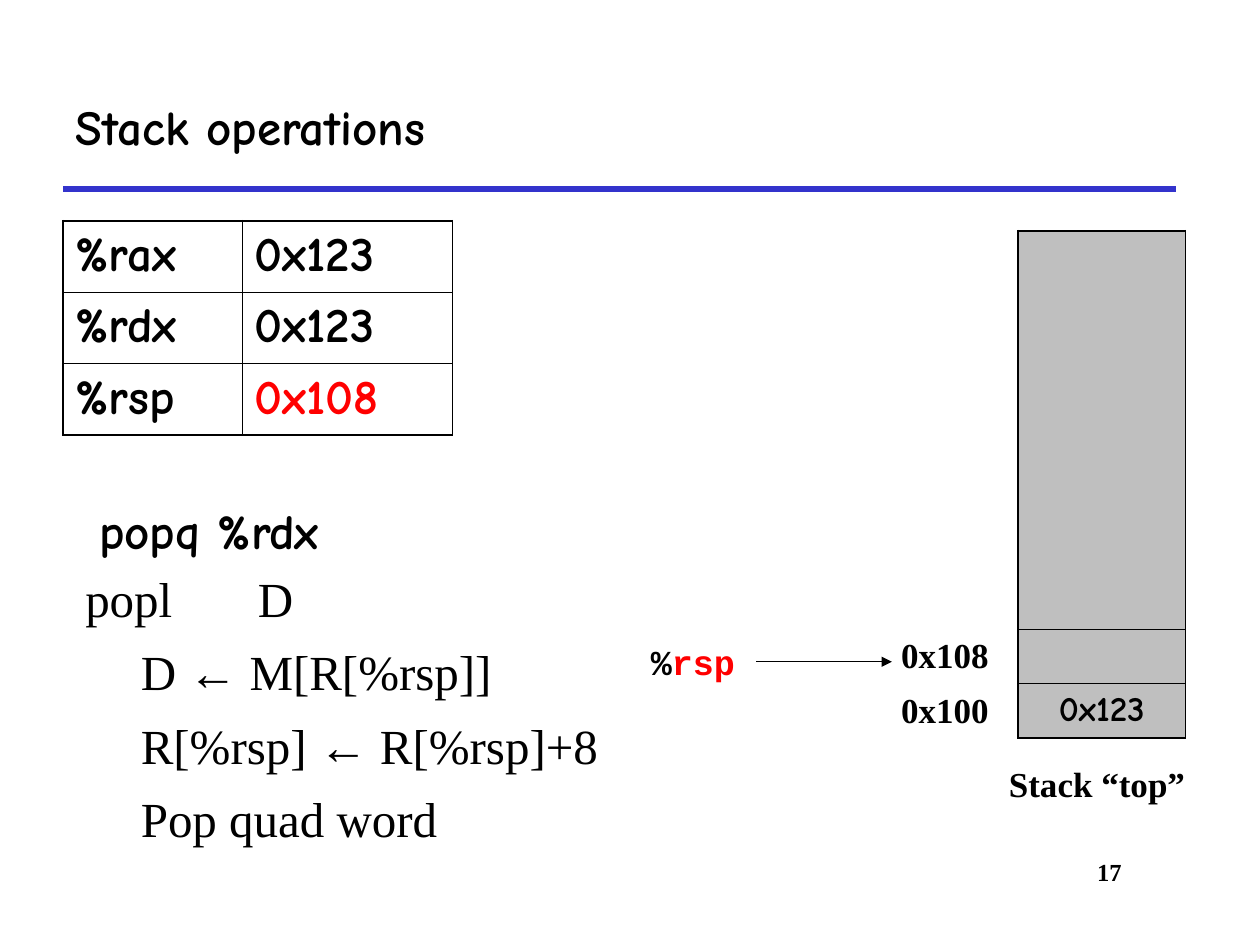
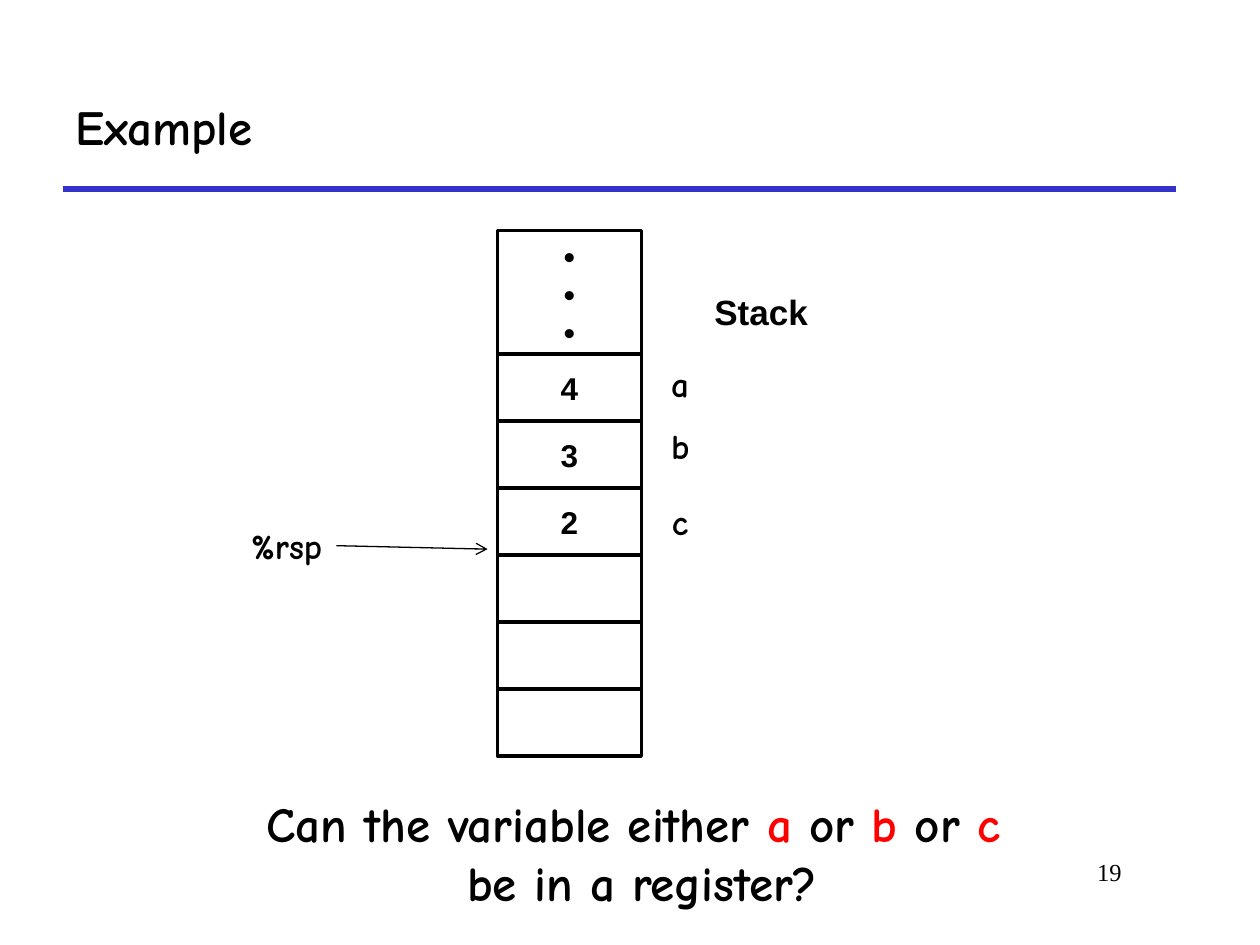
import dataclasses

import lxml.etree
import pptx
import pptx.dml.color
import pptx.enum.shapes
import pptx.enum.text
import pptx.oxml.ns
import pptx.util

Cm = pptx.util.Cm
Pt = pptx.util.Pt
Align = pptx.enum.text.PP_ALIGN
Anchor = pptx.enum.text.MSO_ANCHOR
qn = pptx.oxml.ns.qn

COLORS = {
    "ink": "000000",
    "paper": "FFFFFF",
    "rule": "3333CC",
    "accent": "FF0000",
    "memory": "BFBFBF",
}
OUTER_BORDER = 1.08
INNER_BORDER = 0.45


@dataclasses.dataclass(frozen=True)
class TextStyle:
    font: str
    size: int
    bold: bool = True
    color: str = "ink"

    def accent(self):
        return dataclasses.replace(self, color="accent")


HEADING = TextStyle("Comic Neue", 28)
LABEL = TextStyle("Comic Neue", 20)
ADDRESS = TextStyle("Times New Roman", 20)
BODY = TextStyle("Times New Roman", 28, False)
ARROW_SIGN = TextStyle("Arial", 28, False)
CODE = TextStyle("Courier New", 20)
STACK_NAME = TextStyle("Arial", 20)
STACK_VALUE = TextStyle("Arial", 18)


def rgb(name):
    return pptx.dml.color.RGBColor.from_string(COLORS[name])


def add_runs(paragraph, runs):
    for text, style in runs:
        run = paragraph.add_run()
        run.text = text
        run.font.name = style.font
        run.font.size = Pt(style.size)
        run.font.bold = style.bold
        run.font.color.rgb = rgb(style.color)


def fill_text(frame, lines, alignment):
    for index, runs in enumerate(lines):
        paragraph = frame.add_paragraph() if index else frame.paragraphs[0]
        paragraph.alignment = alignment
        add_runs(paragraph, runs)


def add_text(slide, left, top, width, height, lines, alignment=Align.CENTER):
    box = slide.shapes.add_textbox(Cm(left), Cm(top), Cm(width), Cm(height))
    box.text_frame.word_wrap = alignment != Align.CENTER
    fill_text(box.text_frame, lines, alignment)
    return box


def add_line(slide, start, end, color="ink", weight=0.75, head=None):
    points = [Cm(value) for value in (*start, *end)]
    line = slide.shapes.add_connector(
        pptx.enum.shapes.MSO_CONNECTOR.STRAIGHT, *points
    )
    line.line.color.rgb = rgb(color)
    line.line.width = Pt(weight)
    if head:
        outline = line.line._get_or_add_ln()
        lxml.etree.SubElement(outline, qn("a:tailEnd"), type=head)
    lxml.etree.SubElement(line._element.spPr, qn("a:effectLst"))
    return line


def add_stack_cell(slide, left, top, width, height, lines):
    cell = slide.shapes.add_shape(
        pptx.enum.shapes.MSO_SHAPE.RECTANGLE,
        Cm(left), Cm(top), Cm(width), Cm(height),
    )
    cell.shadow.inherit = False
    cell.fill.solid()
    cell.fill.fore_color.rgb = rgb("paper")
    cell.line.color.rgb = rgb("ink")
    cell.line.width = Pt(2)
    cell.text_frame.word_wrap = False
    cell.text_frame.vertical_anchor = Anchor.MIDDLE
    fill_text(cell.text_frame, lines, Align.CENTER)


def set_borders(cell, weights):
    properties = cell._tc.get_or_add_tcPr()
    for index, (side, weight) in enumerate(weights.items()):
        border = lxml.etree.Element(qn(f"a:ln{side}"), w=str(Pt(weight)))
        fill = lxml.etree.SubElement(border, qn("a:solidFill"))
        lxml.etree.SubElement(fill, qn("a:srgbClr"), val=COLORS["ink"])
        properties.insert(index, border)


def add_grid(slide, left, top, widths, heights, rows, alignment, fill=None):
    frame = slide.shapes.add_table(
        len(heights), len(widths),
        Cm(left), Cm(top), Cm(sum(widths)), Cm(sum(heights)),
    )
    table = frame.table
    table.first_row = False
    table.horz_banding = False
    for column, width in zip(table.columns, widths):
        column.width = Cm(width)
    for row, height in zip(table.rows, heights):
        row.height = Cm(height)

    def weight(is_edge):
        return OUTER_BORDER if is_edge else INNER_BORDER

    for y, row in enumerate(rows):
        for x, runs in enumerate(row):
            cell = table.cell(y, x)
            if fill:
                cell.fill.solid()
                cell.fill.fore_color.rgb = rgb(fill)
            else:
                cell.fill.background()
            fill_text(cell.text_frame, [runs], alignment)
            set_borders(cell, {
                "L": weight(x == 0),
                "R": weight(x == len(widths) - 1),
                "T": weight(y == 0),
                "B": weight(y == len(heights) - 1),
            })


def add_slide(presentation, title, number, number_bold):
    slide = presentation.slides.add_slide(presentation.slide_layouts[5])
    add_line(slide, (1.27, 3.81), (23.7, 3.81), "rule", 3)
    shape = slide.shapes.title
    shape.left, shape.top = Cm(1.27), Cm(1.27)
    shape.width, shape.height = Cm(22.43), Cm(2.54)
    shape.text_frame.vertical_anchor = Anchor.MIDDLE
    fill_text(shape.text_frame, [[(title, HEADING)]], Align.LEFT)
    style = TextStyle("Times New Roman", 14, number_bold)
    add_text(slide, 19.25, 17.15, 3.61, 1.27, [[(number, style)]], Align.RIGHT)
    return slide


def add_pop_meaning(slide):
    lines = [
        [("popl\tD", BODY)],
        [("D ", BODY), ("←", ARROW_SIGN), (" M[R[%rsp]]", BODY)],
        [("R[%rsp] ", BODY), ("←", ARROW_SIGN), (" R[%rsp]+8", BODY)],
        [("Pop quad word", BODY)],
    ]
    box = add_text(slide, 1.47, 11.33, 11.63, 5.9, lines, Align.LEFT)
    instruction, *effects = box.text_frame.paragraphs
    tabs = lxml.etree.SubElement(
        instruction._p.get_or_add_pPr(), qn("a:tabLst")
    )
    lxml.etree.SubElement(tabs, qn("a:tab"), pos=str(Cm(3.48)), algn="l")
    for paragraph in effects:
        paragraph.space_before = Pt(8.4)
        paragraph._p.get_or_add_pPr().set("marL", str(Cm(1.12)))


def build_operations(presentation):
    slide = add_slide(presentation, "Stack operations", "17", True)
    registers = [
        [[("%rax", HEADING)], [("0x123", HEADING)]],
        [[("%rdx", HEADING)], [("0x123", HEADING)]],
        [[("%rsp", HEADING)], [("0x108", HEADING.accent())]],
    ]
    add_grid(slide, 1.27, 4.45, [3.61, 4.24], [1.44] * 3, registers, Align.LEFT)
    add_text(slide, 1.75, 9.96, 5.5, 1.45, [[("popq %rdx", HEADING)]], Align.LEFT)
    add_pop_meaning(slide)

    memory = [[[]], [[]], [[("0x123", LABEL)]]]
    add_grid(slide, 20.52, 4.65, [3.38], [8.03, 1.1, 1.1], memory,
             Align.CENTER, "memory")
    for index, address in enumerate(["0x108", "0x100"]):
        add_text(slide, 17.78, 12.65 + index * 1.1, 2.54, 1.12,
                 [[(address, ADDRESS)]])
    add_text(slide, 19.89, 15.24, 4.45, 1.12, [[("Stack “top”", ADDRESS)]])
    pointer = add_text(slide, 12.7, 12.78, 2.54, 1.12,
                       [[("%", CODE), ("rsp", CODE.accent())]])
    arrow = add_line(slide, (15.24, 13.34), (17.98, 13.34), head="triangle")
    arrow.begin_connect(pointer, 3)


def build_example(presentation):
    slide = add_slide(presentation, "Example", "19", False)
    left, width, cell_height = 10.03, 2.9, 1.35
    add_stack_cell(slide, left, 4.65, width, 2.54, [[("•", STACK_VALUE)]] * 3)
    for index, value in enumerate(["4", "3", "2", None, None, None]):
        lines = [[(value, STACK_VALUE)]] if value else []
        add_stack_cell(slide, left, 7.14 + index * cell_height,
                       width, cell_height, lines)
    add_text(slide, 14.15, 5.74, 2.39, 1.12, [[("Stack", STACK_NAME)]])
    for variable, top in [("a", 7.19), ("b", 8.43), ("c", 9.96)]:
        add_text(slide, 13.28, top, 0.86, 1.12, [[(variable, LABEL)]])

    pointer = add_text(slide, 4.78, 10.44, 2, 1.12, [[("%rsp", LABEL)]])
    arrow = add_line(slide, (6.78, 11), (9.83, 11.07), head="arrow")
    arrow.begin_connect(pointer, 3)

    question = [
        [
            ("Can the variable either ", HEADING),
            ("a ", HEADING.accent()),
            ("or ", HEADING),
            ("b ", HEADING.accent()),
            ("or ", HEADING),
            ("c ", HEADING.accent()),
        ],
        [("be in a register?", HEADING)],
    ]
    add_text(slide, 5.11, 15.88, 15.67, 2.64, question)


def main():
    presentation = pptx.Presentation()
    presentation.slide_width = Cm(25.4)
    presentation.slide_height = Cm(19.05)
    build_operations(presentation)
    build_example(presentation)
    presentation.save("out.pptx")


if __name__ == "__main__":
    main()
